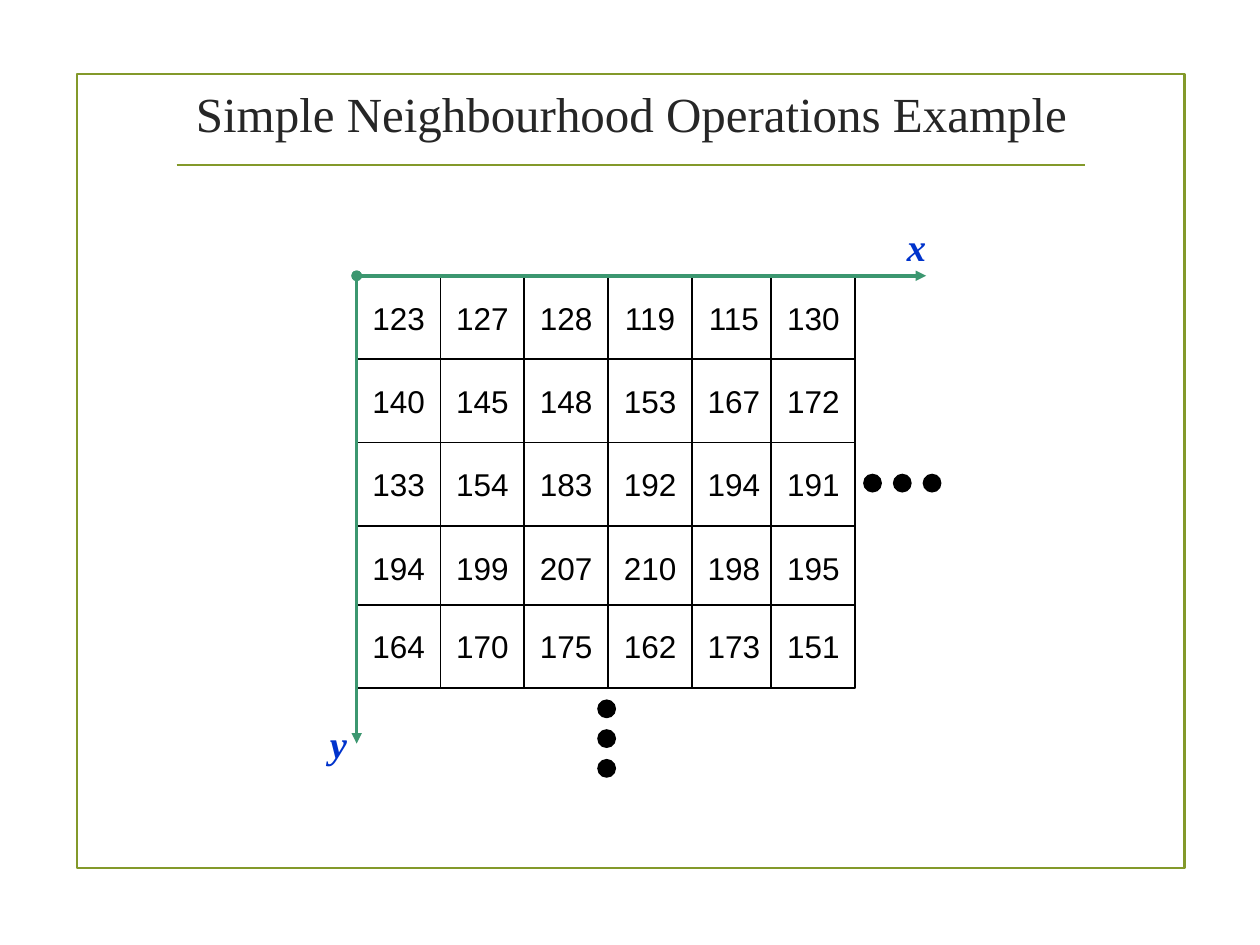
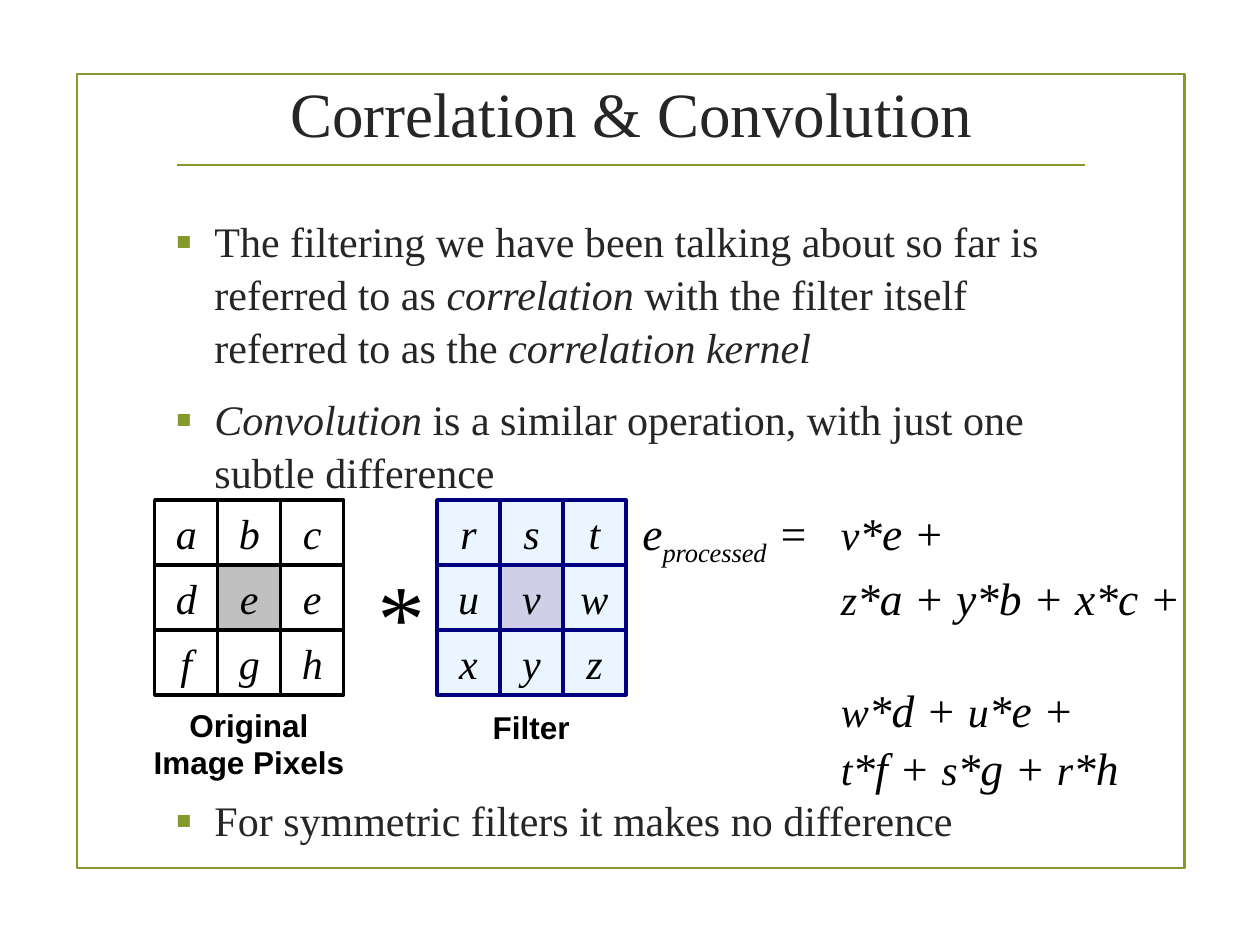
import pptx
import pptx.dml.color
import pptx.enum.shapes
import pptx.enum.text
import pptx.oxml.ns
import pptx.util
from lxml import etree

Cm = pptx.util.Cm
Pt = pptx.util.Pt
qn = pptx.oxml.ns.qn
SHAPE = pptx.enum.shapes.MSO_SHAPE
ALIGN = pptx.enum.text.PP_ALIGN
ANCHOR = pptx.enum.text.MSO_ANCHOR

SERIF = "Times New Roman"
SANS = "Arial"
COLOURS = {
    "olive": "83992A",
    "text": "262626",
    "black": "000000",
    "white": "FFFFFF",
    "axis": "3C9770",
    "axis_label": "0033CC",
    "grey": "C0C0C0",
    "sky": "99CCFF",
    "navy": "000080",
}

INTENSITIES = [
    [123, 127, 128, 119, 115, 130],
    [140, 145, 148, 153, 167, 172],
    [133, 154, 183, 192, 194, 191],
    [194, 199, 207, 210, 198, 195],
    [164, 170, 175, 162, 173, 151],
]
BULLETS = [
    (4.8, [("The filtering we have been talking about so far is referred to as ", False),
           ("correlation ", True),
           ("with the filter itself referred to as the ", False),
           ("correlation kernel", True)]),
    (4.8, [("Convolution", True),
           (" is a similar operation, with just one subtle difference", False)]),
    (162.8, [("For symmetric filters it makes no difference", False)]),
]
FORMULA = [
    (0, [("e", 26), ("processed", 26), (" = \t", 26), ("v", 24), ("*e +", 26)]),
    (0, [("\t", 26), ("z", 24), ("*a + y*b + x*c +", 26)]),
    (31.4, [("\t", 26), ("w", 24), ("*d + ", 26), ("u", 24), ("*e +", 26)]),
    (0, [("\t", 26), ("t", 24), ("*f + ", 26), ("s", 24), ("*g + ", 26),
         ("r", 24), ("*h", 26)]),
]


def colour(name):
    return pptx.dml.color.RGBColor.from_string(COLOURS[name])


def style_font(font, size, name=SERIF, tint="black", bold=False, italic=False):
    font.size = Pt(size)
    font.name = name
    font.bold = bold
    font.italic = italic
    font.color.rgb = colour(tint)


def add_box(page, kind, left, top, width, height, fill=None, line=None, weight=1, alpha=None):
    box = page.shapes.add_shape(kind, Cm(left), Cm(top), Cm(width), Cm(height))
    box.shadow.inherit = False
    if fill:
        box.fill.solid()
        box.fill.fore_color.rgb = colour(fill)
    else:
        box.fill.background()
    if alpha:
        tint = box.element.spPr.find(".//" + qn("a:srgbClr"))
        etree.SubElement(tint, qn("a:alpha")).set("val", str(alpha * 1000))
    if line:
        box.line.color.rgb = colour(line)
        box.line.width = Pt(weight)
    else:
        box.line.fill.background()
    return box


def add_line(page, start, end, tint, weight, arrow=False):
    line = page.shapes.add_connector(
        pptx.enum.shapes.MSO_CONNECTOR.STRAIGHT, *[Cm(value) for value in start + end])
    line.line.color.rgb = colour(tint)
    line.line.width = Pt(weight)
    etree.SubElement(line.element.spPr, qn("a:effectLst"))
    if arrow:
        outline = line.get_or_add_ln()
        etree.SubElement(outline, qn("a:headEnd")).set("type", "oval")
        etree.SubElement(outline, qn("a:tailEnd")).set("type", "triangle")
    return line


def add_label(page, text, left, top, width, height, wrap=True, align=ALIGN.CENTER, **font):
    box = page.shapes.add_textbox(Cm(left), Cm(top), Cm(width), Cm(height))
    box.text_frame.word_wrap = wrap
    para = box.text_frame.paragraphs[0]
    para.text = text
    para.alignment = align
    style_font(para.font, **font)


def add_cell(page, text, left, top, width, height, font, **look):
    cell = add_box(page, SHAPE.RECTANGLE, left, top, width, height, **look)
    frame = cell.text_frame
    frame.word_wrap = False
    frame.vertical_anchor = ANCHOR.MIDDLE
    para = frame.paragraphs[0]
    para.text = str(text)
    para.alignment = ALIGN.CENTER
    style_font(para.font, **font)


def add_intensity_grid(page, left, top, width, height, overlap):
    for row, values in enumerate(INTENSITIES):
        y = top + row * height - overlap * (row == len(INTENSITIES) - 1)
        for column, value in enumerate(values):
            x = left + column * width - overlap * (column == len(values) - 1)
            add_cell(page, value, x, y, width, height, dict(size=18, name=SANS),
                     fill="white", line="black")


def add_mask(page, letters, left, fill, centre_fill, line, alpha=None):
    top, width, height = 10.08, 1.27, 1.31
    for index, letter in enumerate(letters):
        row, column = divmod(index, 3)
        add_cell(page, letter, left + column * width, top + row * height, width, height,
                 dict(size=24, italic=True), fill=centre_fill if index == 4 else fill,
                 line=line, weight=2, alpha=alpha)


def add_dots(page, left, top, step_x, step_y):
    for index in range(3):
        add_box(page, SHAPE.OVAL, left + index * step_x, top + index * step_y,
                0.38, 0.38, fill="black")


def place(holder, left, top, width, height):
    holder.left, holder.top = Cm(left), Cm(top)
    holder.width, holder.height = Cm(width), Cm(height)
    frame = holder.text_frame
    frame.word_wrap = True
    frame.auto_size = pptx.enum.text.MSO_AUTO_SIZE.NONE
    return frame


def add_page(deck, layout, title, size):
    page = deck.slides.add_slide(deck.slide_layouts[layout])
    frame = place(page.shapes.title, 3.28, 1.32, 18.9, 1.9)
    frame.vertical_anchor = ANCHOR.MIDDLE
    para = frame.paragraphs[0]
    para.text = title
    para.alignment = ALIGN.CENTER
    style_font(para.font, size, tint="text")
    return page


def add_master_frame(deck, page):
    border = add_box(page, SHAPE.RECTANGLE, 1.55, 1.5, 22.33, 16, line="olive", weight=1.25)
    rule = add_line(page, (3.56, 3.33), (21.87, 3.33), "olive", 1.25)
    for number, shape in enumerate((border, rule), 101):
        shape.element.xpath("./*/p:cNvPr")[0].set("id", str(number))
        deck.slide_master.shapes.element.append(shape.element)


def set_bullet(para):
    properties = para._p.get_or_add_pPr()
    indent = Cm(0.79)
    properties.set("marL", str(indent))
    properties.set("indent", str(-indent))
    tint = etree.SubElement(properties, qn("a:buClr"))
    etree.SubElement(tint, qn("a:srgbClr")).set("val", COLOURS["olive"])
    etree.SubElement(properties, qn("a:buSzPct")).set("val", "115000")
    etree.SubElement(properties, qn("a:buFont")).set("typeface", SANS)
    etree.SubElement(properties, qn("a:buChar")).set("char", "▪")


def next_paragraph(frame, index, space_before):
    para = frame.add_paragraph() if index else frame.paragraphs[0]
    para.line_spacing = 1.05
    para.space_before = Pt(space_before)
    return para


def fill_bullets(page):
    frame = place(page.placeholders[1], 3.28, 4.17, 18.9, 13.18)
    for index, (space_before, pieces) in enumerate(BULLETS):
        para = next_paragraph(frame, index, space_before)
        para.space_after = Pt(6)
        set_bullet(para)
        style_font(para.font, 24, tint="text")
        for text, italic in pieces:
            span = para.add_run()
            span.text = text
            span.font.italic = italic


def add_formula(page):
    box = page.shapes.add_textbox(Cm(12.7), Cm(10), Cm(11.6), Cm(4.67))
    frame = box.text_frame
    frame.word_wrap = True
    for index, (space_before, pieces) in enumerate(FORMULA):
        para = next_paragraph(frame, index, space_before)
        style_font(para.font, 26, italic=True)
        stops = etree.Element(qn("a:tabLst"))
        etree.SubElement(stops, qn("a:tab"), pos=str(Cm(4)), algn="l")
        para._p.get_or_add_pPr().find(qn("a:defRPr")).addprevious(stops)
        for text, size in pieces:
            span = para.add_run()
            span.text = text
            span.font.size = Pt(size)
            if text == "processed":
                span._r.get_or_add_rPr().set("baseline", "-25000")


def build_neighbourhood(deck):
    page = add_page(deck, 5, "Simple Neighbourhood Operations Example", 28)
    add_master_frame(deck, page)
    add_intensity_grid(page, 7.19, 5.56, 1.69, 1.68, 0.09)
    origin = (7.19, 5.56)
    add_line(page, origin, (18.67, 5.56), "axis", 2, arrow=True)
    add_line(page, origin, (7.19, 14.99), "axis", 2, arrow=True)
    for name, left, top in (("x", 18.03, 4.37), ("y", 6.4, 14.4)):
        add_label(page, name, left, top, 0.88, 1.19, wrap=False, align=ALIGN.LEFT,
                  size=22, tint="axis_label", bold=True, italic=True)
    add_dots(page, 17.4, 9.55, 0.6, 0)
    add_dots(page, 12.04, 14.1, 0, 0.6)


def build_convolution(deck):
    page = add_page(deck, 1, "Correlation & Convolution", 36)
    fill_bullets(page)
    add_mask(page, "rstuvwxyz", 8.81, "sky", "navy", "navy", alpha=19)
    add_mask(page, "abcdeefgh", 3.12, "white", "grey", "black")
    caption = dict(size=18, name=SANS, bold=True)
    add_label(page, "Filter", 8.51, 14.15, 4.4, 0.92, **caption)
    add_label(page, "Original Image Pixels", 2.82, 14.1, 4.4, 1.63, **caption)
    add_label(page, "*", 7.29, 11.1, 1.27, 2.31, wrap=False, size=54, italic=True)
    add_formula(page)


def main():
    deck = pptx.Presentation()
    deck.slide_width, deck.slide_height = Cm(25.4), Cm(19.05)
    build_neighbourhood(deck)
    build_convolution(deck)
    deck.save("out.pptx")


if __name__ == "__main__":
    main()
